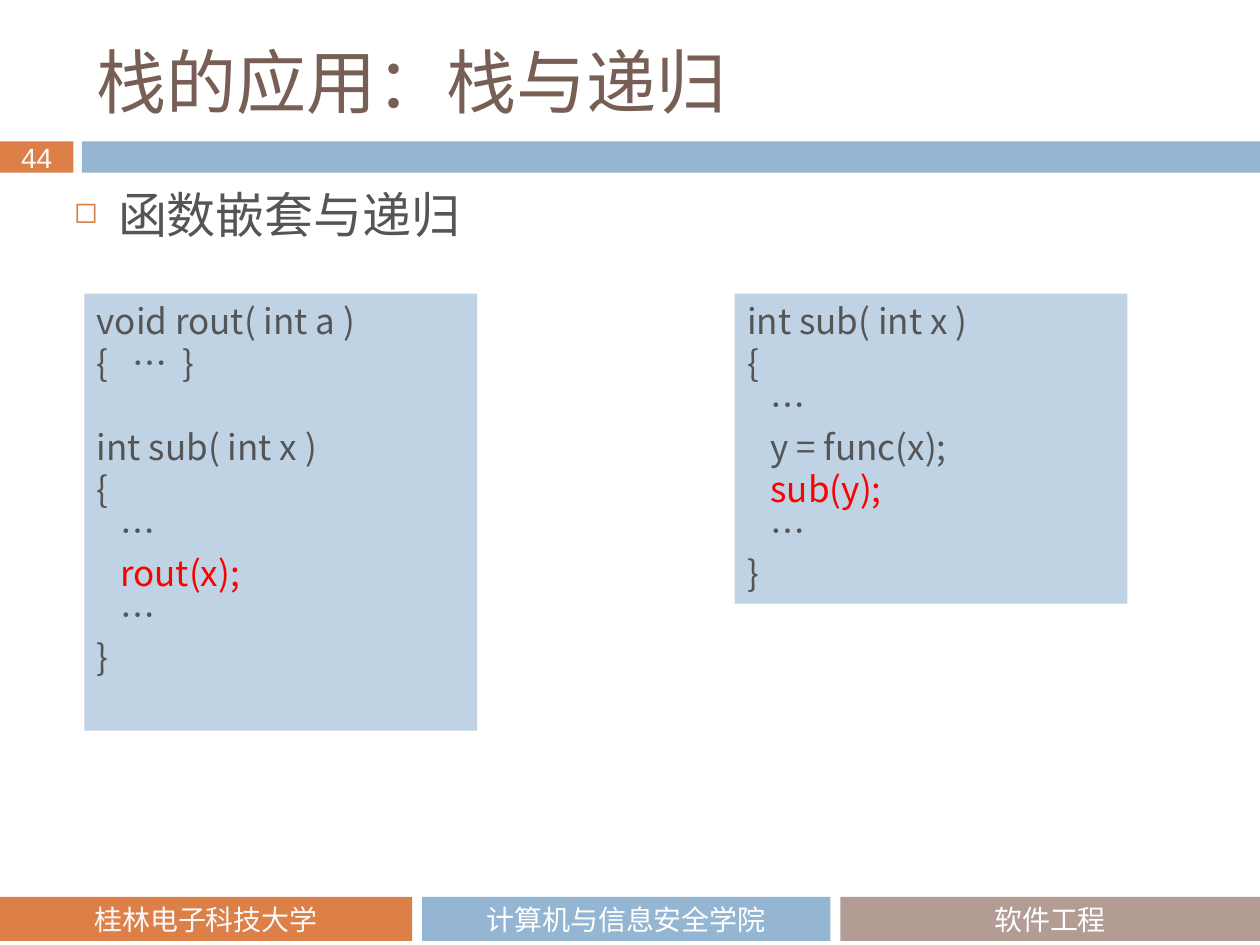
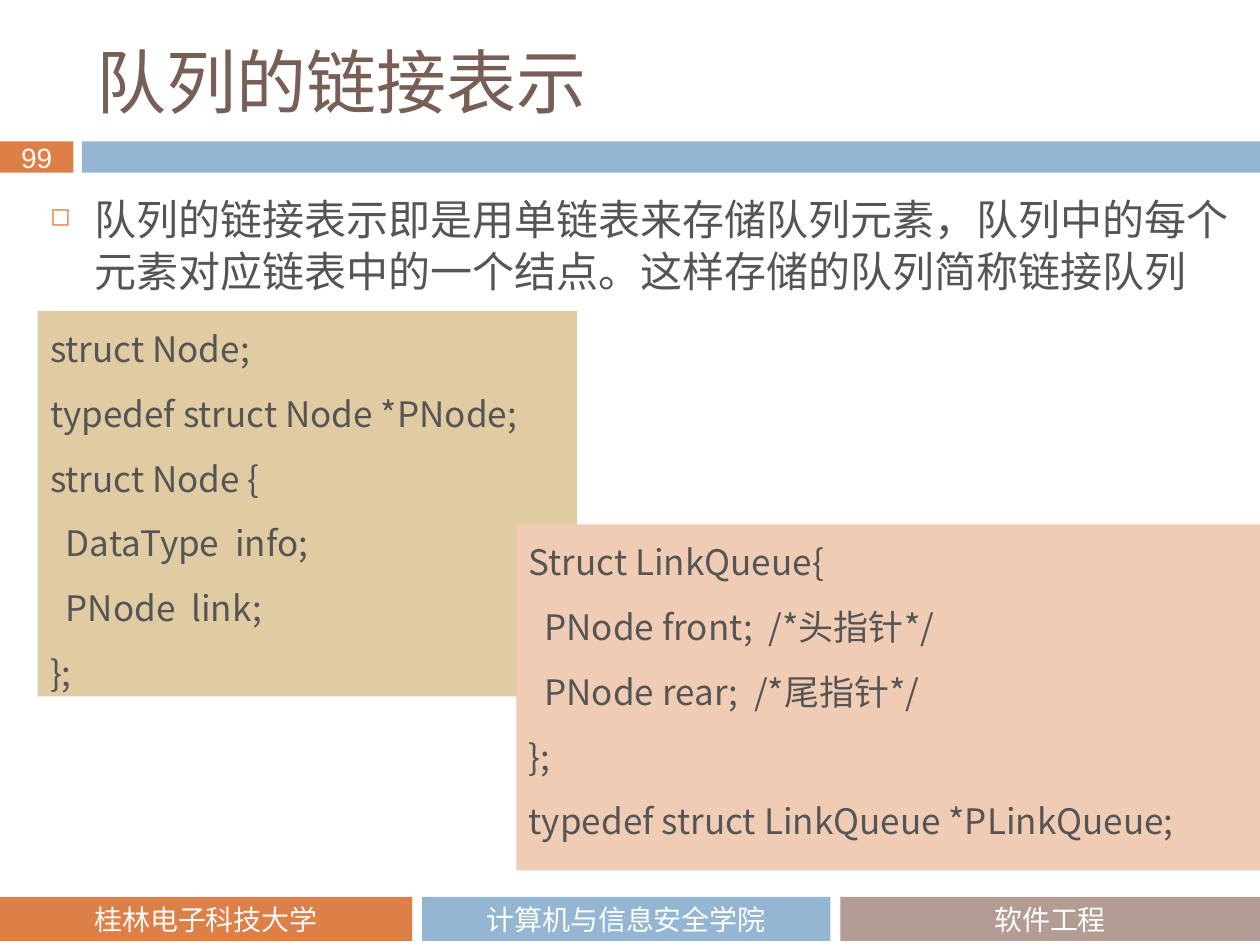
from dataclasses import dataclass

from lxml import etree
from pptx import Presentation
from pptx import util as u
from pptx.dml import color
from pptx.enum import shapes, text
from pptx.oxml import ns


@dataclass(frozen=True)
class Theme:
    orange: str = "DD8047"
    blue: str = "94B6D2"
    taupe: str = "B29C93"
    brown: str = "775F55"
    ink: str = "555555"
    white: str = "FFFFFF"
    off_white: str = "F9F9F9"
    red: str = "FF0000"
    pale_blue: str = "BFD3E4"
    sand: str = "E0CBA3"
    peach: str = "F1CCB5"
    title_font: str = "Noto Sans CJK JP"
    body_font: str = "Noto Sans CJK SC"
    footer_font: str = "Calibri"
    number_font: str = "Arial"
    title_size: int = 40
    code_size: int = 20
    band_size: int = 16
    line_pitch: int = 30
    paragraph_gap: int = 7
    blank_line: int = 24


THEME = Theme()
WIDTH, HEIGHT = 25.4, 19.05
TITLE_BOX = (1.7, 0.64, 22.66, 1.98)
HEADER_BOX = (0, 2.85, WIDTH, 0.63)
FOOTER_BOX = (0, 18.08, WIDTH, 0.89)


def apply_format(target, values):
    for name, value in values.items():
        setattr(target, name, value)


def place(shape, box):
    names = ("left", "top", "width", "height")
    apply_format(shape, {name: u.Cm(value) for name, value in zip(names, box)})


def write(paragraph, words, size, font_name, font_color):
    run = paragraph.add_run()
    run.text = words
    apply_format(run.font, {"size": u.Pt(size), "name": font_name})
    run.font.color.rgb = color.RGBColor.from_string(font_color)
    properties = run.font._element
    east_asian = etree.Element(ns.qn("a:ea"), typeface=THEME.body_font)
    properties.find(ns.qn("a:latin")).addnext(east_asian)


def add_panel(slide, box, fill_color):
    panel = slide.shapes.add_shape(
        shapes.MSO_SHAPE.RECTANGLE, *(u.Cm(value) for value in box)
    )
    panel.shadow.inherit = False
    panel.fill.solid()
    panel.fill.fore_color.rgb = color.RGBColor.from_string(fill_color)
    panel.line.fill.background()
    return panel


def add_band(slide, box, fill_color, words="", font_name="", font_color=""):
    band = add_panel(slide, box, fill_color)
    if words:
        apply_format(band.text_frame, {
            "vertical_anchor": text.MSO_ANCHOR.MIDDLE, "word_wrap": False,
            "margin_top": 0, "margin_bottom": 0,
        })
        paragraph = band.text_frame.paragraphs[0]
        paragraph.alignment = text.PP_ALIGN.CENTER
        write(paragraph, words, THEME.band_size, font_name, font_color)


def add_header(slide, box, number):
    left, top, width, height = box
    number_width, bar_offset = 1.48, 1.65
    add_band(slide, (left, top, number_width, height), THEME.orange,
             number, THEME.number_font, THEME.off_white)
    add_band(slide, (left + bar_offset, top, width - bar_offset, height), THEME.blue)


def add_footer(slide, box):
    left, top, width, height = box
    cells = (
        (0, 8.31, THEME.orange, "桂林电子科技大学", THEME.off_white),
        (8.51, 8.23, THEME.blue, "计算机与信息安全学院", THEME.white),
        (16.94, width - 16.94, THEME.taupe, "软件工程", THEME.white),
    )
    for offset, cell_width, fill_color, words, font_color in cells:
        add_band(slide, (left + offset, top, cell_width, height), fill_color,
                 words, THEME.footer_font, font_color)


def add_title(slide, box, words):
    title = slide.shapes.title
    place(title, box)
    apply_format(title.text_frame, {
        "vertical_anchor": text.MSO_ANCHOR.MIDDLE, "word_wrap": True,
        "auto_size": text.MSO_AUTO_SIZE.NONE,
    })
    paragraph = title.text_frame.paragraphs[0]
    paragraph.alignment = text.PP_ALIGN.LEFT
    write(paragraph, words, THEME.title_size, THEME.title_font, THEME.brown)


def add_bullet(slide, box, words, size):
    frame = slide.shapes.add_textbox(*(u.Cm(value) for value in box)).text_frame
    frame.word_wrap = True
    paragraph = frame.paragraphs[0]
    properties = paragraph._p.get_or_add_pPr()
    indent = u.Cm(0.89)
    properties.set("marL", str(indent))
    properties.set("indent", str(-indent))
    bullet_color = etree.SubElement(properties, ns.qn("a:buClr"))
    etree.SubElement(bullet_color, ns.qn("a:srgbClr"), val=THEME.orange)
    etree.SubElement(properties, ns.qn("a:buSzPct"), val="60000")
    etree.SubElement(properties, ns.qn("a:buChar"), char="◻")
    paragraph.line_spacing = u.Pt(THEME.line_pitch)
    write(paragraph, words, size, THEME.body_font, THEME.ink)


def add_code(slide, box, fill_color, code, spacious=False, highlight=None):
    frame = add_panel(slide, box, fill_color).text_frame
    apply_format(frame, {"word_wrap": True, "vertical_anchor": text.MSO_ANCHOR.TOP})
    first = True
    for block in code.split("\n\n"):
        for index, line in enumerate(block.split("\n")):
            paragraph = frame.paragraphs[0] if first else frame.add_paragraph()
            paragraph.alignment = text.PP_ALIGN.LEFT
            if spacious:
                paragraph.line_spacing = u.Pt(THEME.line_pitch)
            if not first:
                gap = THEME.paragraph_gap if spacious else 0
                paragraph.space_before = u.Pt(gap if index else THEME.blank_line)
            font_color = THEME.red if line.strip() == highlight else THEME.ink
            write(paragraph, line, THEME.code_size, THEME.body_font, font_color)
            first = False


def add_page(presentation, title, number):
    slide = presentation.slides.add_slide(presentation.slide_layouts[5])
    add_header(slide, HEADER_BOX, number)
    add_footer(slide, FOOTER_BOX)
    add_title(slide, TITLE_BOX, title)
    return slide


ROUT_CODE = """void rout( int a )
{   …  }

int sub( int x )
{
   …
   rout(x);
   …
}"""

RECURSION_CODE = """int sub( int x )
{
   …
   y = func(x);
   sub(y);
   …
}"""

NODE_CODE = """struct Node;
typedef struct Node *PNode;
struct Node {
  DataType  info;
  PNode  link;
};"""

QUEUE_CODE = """Struct LinkQueue{
  PNode front;  /*头指针*/
  PNode rear;  /*尾指针*/
};
typedef struct LinkQueue *PLinkQueue;"""


def build_recursion_slide(presentation):
    slide = add_page(presentation, "栈的应用：栈与递归", "44")
    add_bullet(slide, (1.24, 3.73, 22.66, 1.55), "函数嵌套与递归", 28)
    add_code(slide, (1.7, 5.92, 7.92, 8.81), THEME.pale_blue, ROUT_CODE,
             highlight="rout(x);")
    add_code(slide, (14.81, 5.92, 7.92, 6.25), THEME.pale_blue, RECURSION_CODE,
             highlight="sub(y);")


def build_queue_slide(presentation):
    slide = add_page(presentation, "队列的链接表示", "99")
    add_bullet(
        slide, (0.76, 3.73, 24.64, 2.64),
        "队列的链接表示即是用单链表来存储队列元素，队列中的每个元素对应链表中的一个结点。"
        "这样存储的队列简称链接队列", 24)
    add_code(slide, (0.76, 6.27, 10.87, 7.77), THEME.sand, NODE_CODE, spacious=True)
    add_code(slide, (10.41, 10.57, 14.99, 6.98), THEME.peach, QUEUE_CODE, spacious=True)


def main():
    presentation = Presentation()
    apply_format(presentation, {"slide_width": u.Cm(WIDTH), "slide_height": u.Cm(HEIGHT)})
    build_recursion_slide(presentation)
    build_queue_slide(presentation)
    presentation.save("out.pptx")


if __name__ == "__main__":
    main()
